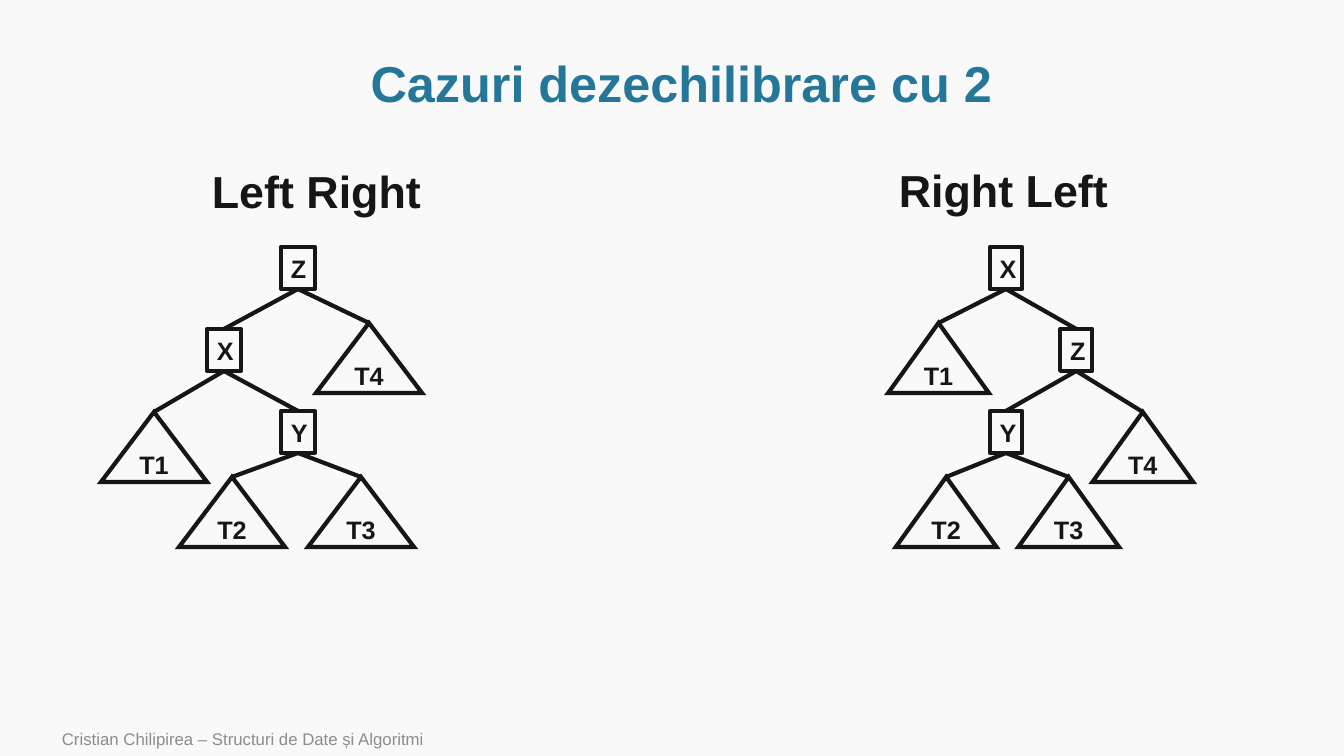
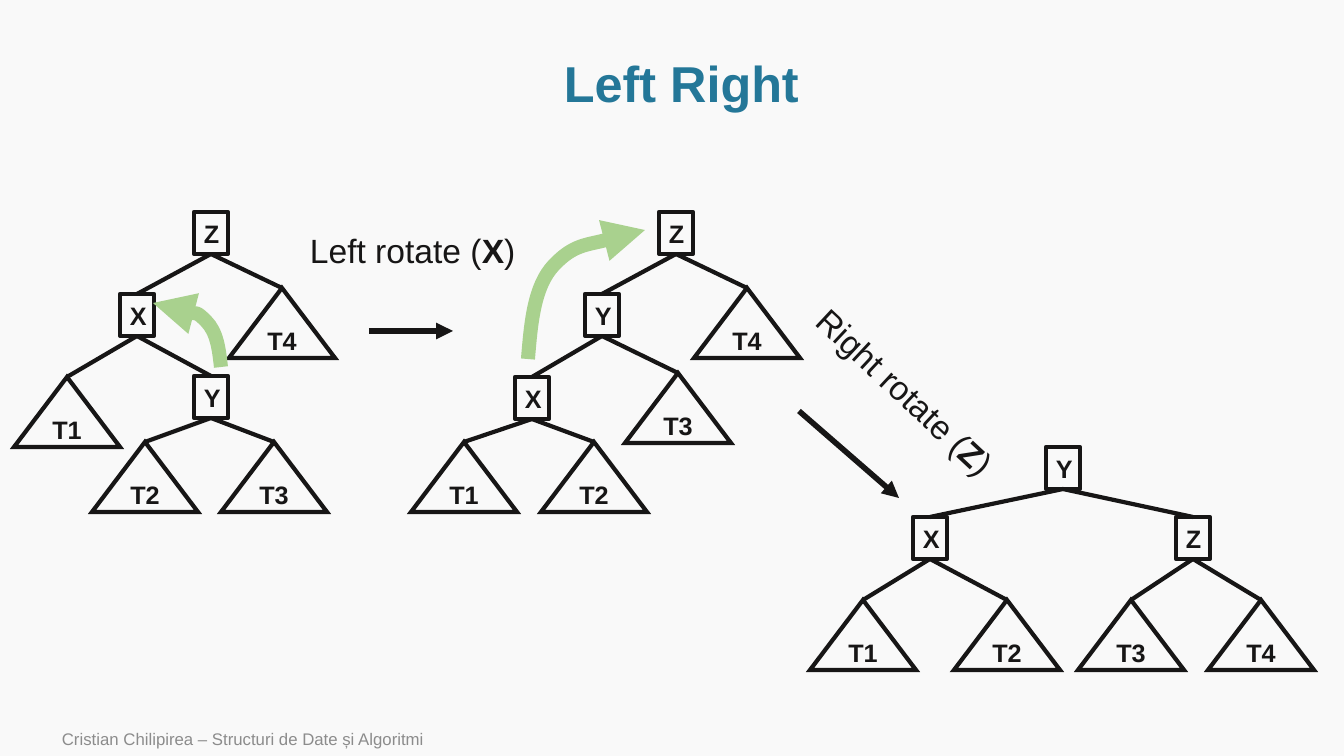
from lxml.etree import SubElement
from pptx import Presentation
from pptx.dml.color import RGBColor
from pptx.enum.shapes import MSO_CONNECTOR, MSO_SHAPE
from pptx.enum.text import MSO_ANCHOR, PP_ALIGN
from pptx.oxml.ns import qn
from pptx.util import Pt

SCALE = 914400 / 100.8
COLORS = {"paper": "F9F9F9", "title": "247798", "ink": "171616",
          "footer": "8C8C8C", "turn": "A9D18E"}
FONT = "Arial"
FOOTER = "Cristian Chilipirea – Structuri de Date și Algoritmi"
BOX_SIZE = (34, 42)
TRIANGLE_SIZE = (106, 70)
MIRROR = str.maketrans("XZ1234", "ZX4321")

LEFT_RIGHT = ("Z", 0, 0, [
    ("X", -74, 82, [
        ("T1", -144, 165, []),
        ("Y", 0, 164, [("T2", -66, 230, []), ("T3", 63, 230, [])]),
    ]),
    ("T4", 71, 76, []),
])
HALF_ROTATED = ("Z", 0, 0, [
    ("Y", -74, 82, [
        ("X", -144, 165, [("T1", -212, 230, []), ("T2", -82, 230, [])]),
        ("T3", 2, 161, []),
    ]),
    ("T4", 71, 76, []),
])
BALANCED = ("Y", 0, 0, [
    ("X", -133, 70, [("T1", -200, 153, []), ("T2", -56, 153, [])]),
    ("Z", 130, 70, [("T3", 68, 153, []), ("T4", 198, 153, [])]),
])

SLIDES = [
    {
        "title": "Cazuri dezechilibrare cu 2",
        "trees": [(LEFT_RIGHT, 298, 247, 1), (LEFT_RIGHT, 1006, 247, -0.95)],
        "headings": [("Left Right", (202, 159, 241, 65)),
                     ("Right Left", (889, 158, 297, 65))],
    },
    {
        "title": "Left Right",
        "trees": [(LEFT_RIGHT, 211, 212, 1), (HALF_ROTATED, 676, 212, 1),
                  (BALANCED, 1063, 447, 1)],
        "steps": [("Left rotate (", "X", (300, 225, 228, 50), 0),
                  ("Right rotate (", "Z", (782, 368, 250, 50), 43)],
        "arrows": [(369, 331, 453, 331), (799, 411, 899, 498)],
        "turns": [
            [(221, 367), (219, 349), (217, 332), (206, 321),
             (195, 310), (164, 306), (153, 303)],
            [(528, 359), (531, 323), (534, 286), (554, 265),
             (574, 244), (625, 236), (645, 230)],
        ],
    },
]


def px(*lengths):
    return [round(length * SCALE) for length in lengths]


def rgb(name):
    return RGBColor.from_string(COLORS[name])


def write(shape, runs, size, color="ink", align=PP_ALIGN.LEFT,
          anchor=MSO_ANCHOR.TOP, wrap=True):
    frame = shape.text_frame
    frame.word_wrap = wrap
    frame.vertical_anchor = anchor
    para = frame.paragraphs[0]
    para.alignment = align
    for text, bold in runs:
        span = para.add_run()
        span.text = text
        span.font.name = FONT
        span.font.size = Pt(size)
        span.font.bold = bold
        span.font.color.rgb = rgb(color)
    return para


def add_text(page, place, runs, size, **style):
    box = page.shapes.add_textbox(*px(*place))
    return box, write(box, runs, size, **style)


def stroke(shape, width, color="ink", end=None):
    shape.line.width = Pt(width)
    shape.line.color.rgb = rgb(color)
    outline = shape.line._get_or_add_ln()
    if end == "miter":
        SubElement(outline, qn("a:miter"), lim="800000")
    elif end == "arrow":
        SubElement(outline, qn("a:tailEnd"), type="triangle")


def add_line(page, ends, width, end=None):
    line = page.shapes.add_connector(MSO_CONNECTOR.STRAIGHT, *px(*ends))
    stroke(line, width, end=end)
    SubElement(line.element.spPr, qn("a:effectLst"))


def add_tree(page, tree, root_x, root_y, stretch):
    label, dx, dy, children = tree
    x, y = root_x + dx * stretch, root_y + dy
    if stretch < 0:
        label = label.translate(MIRROR)
    subtree = label.startswith("T")
    width, height = TRIANGLE_SIZE if subtree else BOX_SIZE
    width *= abs(stretch)
    for child in children:
        add_line(page, (x, y + height, root_x + child[1] * stretch, root_y + child[2]), 3)
        add_tree(page, child, root_x, root_y, stretch)
    kind = MSO_SHAPE.ISOSCELES_TRIANGLE if subtree else MSO_SHAPE.RECTANGLE
    node = page.shapes.add_shape(kind, *px(x - width / 2, y, width, height))
    node.shadow.inherit = False
    node.fill.background()
    stroke(node, 3, end="miter" if subtree else None)
    write(node, [(label, True)], 18, anchor=MSO_ANCHOR.MIDDLE, wrap=subtree,
          align=PP_ALIGN.CENTER if subtree else PP_ALIGN.LEFT)


def add_turn(page, points):
    start, *rest = points
    builder = page.shapes.build_freeform(*start, scale=SCALE)
    builder.add_line_segments(rest, close=False)
    turn = builder.convert_to_shape()
    segments = turn.element.xpath(".//a:lnTo")
    for first in range(0, len(segments), 3):
        trio = segments[first:first + 3]
        curve = trio[0].getparent().makeelement(qn("a:cubicBezTo"))
        trio[0].addprevious(curve)
        for segment in trio:
            curve.append(segment[0])
            segment.getparent().remove(segment)
    turn.shadow.inherit = False
    turn.fill.background()
    stroke(turn, 10, "turn", "arrow")


def add_page(deck, content):
    page = deck.slides.add_slide(deck.slide_layouts[6])
    page.background.fill.solid()
    page.background.fill.fore_color.rgb = rgb("paper")
    add_text(page, (52, 722, 847, 34), [(FOOTER, False)], 12,
             color="footer", anchor=MSO_ANCHOR.MIDDLE)
    title, para = add_text(page, (102, 51, 1159, 70), [(content["title"], True)], 36,
                           color="title", align=PP_ALIGN.CENTER, anchor=MSO_ANCHOR.MIDDLE)
    para.line_spacing = 0.9
    for heading, place in content.get("headings", []):
        add_text(page, place, [(heading, True)], 32)
    for tree in content["trees"]:
        add_tree(page, *tree)
    for words, key, place, angle in content.get("steps", []):
        box, para = add_text(page, place, [(words, False), (key, True), (")", False)],
                             24, wrap=False)
        box.rotation = angle
    for ends in content.get("arrows", []):
        add_line(page, ends, 4, "arrow")
    for points in content.get("turns", []):
        add_turn(page, points)


def main():
    deck = Presentation()
    deck.slide_width, deck.slide_height = px(1344, 756)
    for content in SLIDES:
        add_page(deck, content)
    deck.save("out.pptx")


if __name__ == "__main__":
    main()
